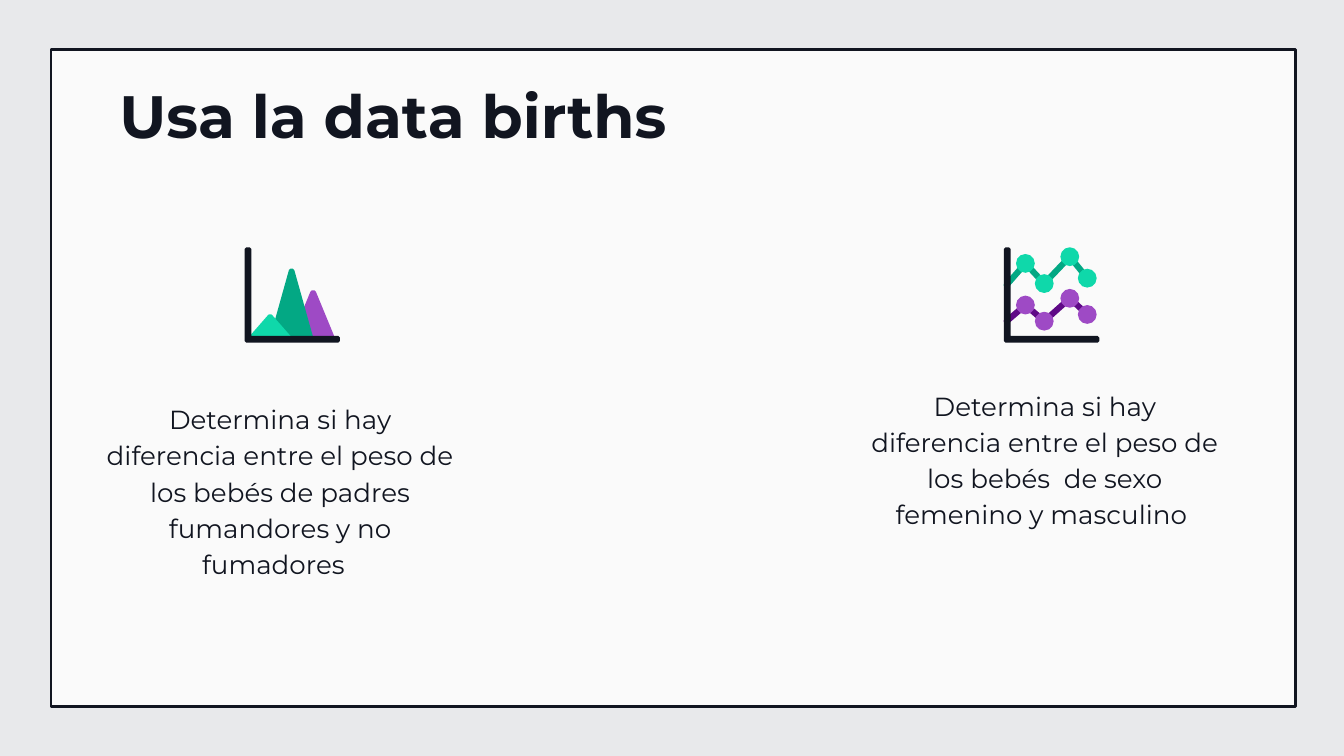
"""Build the slide on comparing birth weights, with two chart icons."""
from pptx import Presentation
from pptx.dml.color import RGBColor
from pptx.enum.shapes import MSO_CONNECTOR, MSO_SHAPE
from pptx.enum.text import MSO_ANCHOR, PP_ALIGN
from pptx.oxml.ns import qn
from pptx.oxml.xmlchemy import OxmlElement
from pptx.util import Inches, Pt

RECT, OVAL = MSO_SHAPE.RECTANGLE, MSO_SHAPE.OVAL
STRAIGHT = MSO_CONNECTOR.STRAIGHT
LEFT, CENTER, TOP = PP_ALIGN.LEFT, PP_ALIGN.CENTER, MSO_ANCHOR.TOP

GRAY = RGBColor(0xE8, 0xE9, 0xEB)
WHITE = RGBColor(0xFA, 0xFA, 0xFA)
INK = RGBColor(0x11, 0x15, 0x20)
GREEN = RGBColor(0x03, 0xA8, 0x84)
MINT = RGBColor(0x0F, 0xD8, 0xAA)
PURPLE = RGBColor(0x9E, 0x4A, 0xC5)
VIOLET = RGBColor(0x5F, 0x0A, 0x87)

FONT = "Montserrat"
WIDE = Inches(10)
HIGH = WIDE * 9 // 16
TITLE = "Usa la data births"
TASKS = [
    (0.69, 2.87, "Determina si hay diferencia entre el peso de los bebés "
                 "de padres fumandores y no fumadores  "),
    (6.38, 2.77, "Determina si hay diferencia entre el peso de los bebés  "
                 "de sexo femenino y masculino "),
]
BASE = 2.54
HILLS = [
    (2.33, 2.16, 0.17, PURPLE),
    (2.17, 2.00, 0.17, GREEN),
    (2.01, 2.34, 0.17, MINT),
]
HILL_X, DOT_X = 1.82, 7.47
AXIS_TOP, AXIS_SIZE, AXIS_WIDE = 1.84, 0.71, 0.05
DOT = 0.14
SERIES = [
    (GREEN, MINT, [(7.49, 2.12), (7.63, 1.96), (7.77, 2.11),
                   (7.96, 1.91), (8.09, 2.07)]),
    (VIOLET, PURPLE, [(7.49, 2.39), (7.63, 2.27), (7.77, 2.39),
                      (7.96, 2.22), (8.09, 2.34)]),
]


def paint(shape, color):
    shape.shadow.inherit = False
    shape.fill.solid()
    shape.fill.fore_color.rgb = color
    shape.line.fill.background()


def add_path(shapes, points, color):
    spots = [(Inches(x), Inches(y)) for x, y in points]
    path = shapes.build_freeform(*spots[0], scale=1.0)
    path.add_line_segments(spots[1:], close=True)
    paint(path.convert_to_shape(), color)


def add_hill(shapes, mid, top, half, color):
    side = [(0.01, top), (0.02, top + 0.01), (half - 0.01, BASE - 0.03),
            (half - 0.01, BASE - 0.01), (half - 0.03, BASE)]
    right = [(mid + dx, y) for dx, y in side]
    left = [(mid - dx, y) for dx, y in reversed(side)]
    add_path(shapes, right + left, color)


def add_axis(shapes, x):
    y, end, wide = AXIS_TOP, AXIS_SIZE, AXIS_WIDE
    cut = wide / 4
    points = [(cut, 0), (wide - cut, 0), (wide, cut), (wide, end - wide),
              (end - cut, end - wide), (end, end - wide + cut),
              (end, end - cut), (end - cut, end), (cut, end),
              (0, end - cut), (0, cut)]
    add_path(shapes, [(x + dx, y + dy) for dx, dy in points], INK)


def add_line(shapes, start, end, color):
    line = shapes.add_connector(STRAIGHT, *map(Inches, start + end))
    line.line.color.rgb = color
    line.line.width = Pt(3.25)
    props = line._element.spPr
    props.find(qn("a:ln")).set("cap", "rnd")
    props.append(OxmlElement("a:effectLst"))


def add_text(shapes, box, text, size, align=LEFT, bold=False, gap=1.0):
    frame = shapes.add_textbox(*map(Inches, box)).text_frame
    frame.word_wrap = True
    frame.vertical_anchor = TOP
    frame.margin_left = frame.margin_right = Inches(0.1)
    frame.margin_top = frame.margin_bottom = Inches(0.1)
    frame.text = text
    para = frame.paragraphs[0]
    para.alignment = align
    para.line_spacing = gap
    font = para.runs[0].font
    font.name, font.size, font.bold = FONT, Pt(size), bold
    font.color.rgb = INK


def add_hills(shapes):
    for hill in HILLS:
        add_hill(shapes, *hill)
    add_axis(shapes, HILL_X)


def add_dots(shapes):
    for color, _, points in SERIES:
        for start, end in zip(points, points[1:]):
            add_line(shapes, start, end, color)
    add_axis(shapes, DOT_X)
    for _, color, points in SERIES:
        for x, y in points[1:]:
            box = (x - DOT / 2, y - DOT / 2, DOT, DOT)
            paint(shapes.add_shape(OVAL, *map(Inches, box)), color)


def main():
    deck = Presentation()
    deck.slide_width, deck.slide_height = WIDE, HIGH
    slide = deck.slides.add_slide(deck.slide_layouts[6])
    slide.background.fill.solid()
    slide.background.fill.fore_color.rgb = GRAY
    shapes = slide.shapes

    panel = shapes.add_shape(RECT, *map(Inches, (0.38, 0.37, 9.26, 4.89)))
    paint(panel, WHITE)
    panel.line.color.rgb = INK
    panel.line.width = Pt(1.5)

    for x, y, text in TASKS:
        add_text(shapes, (x, y, 2.79, 1.11), text, 14, CENTER, gap=1.15)
    add_hills(shapes.add_group_shape().shapes)
    add_dots(shapes.add_group_shape().shapes)
    add_text(shapes, (0.79, 0.49, 8.43, 0.63), TITLE, 32, bold=True)
    deck.save("out.pptx")


if __name__ == "__main__":
    main()
